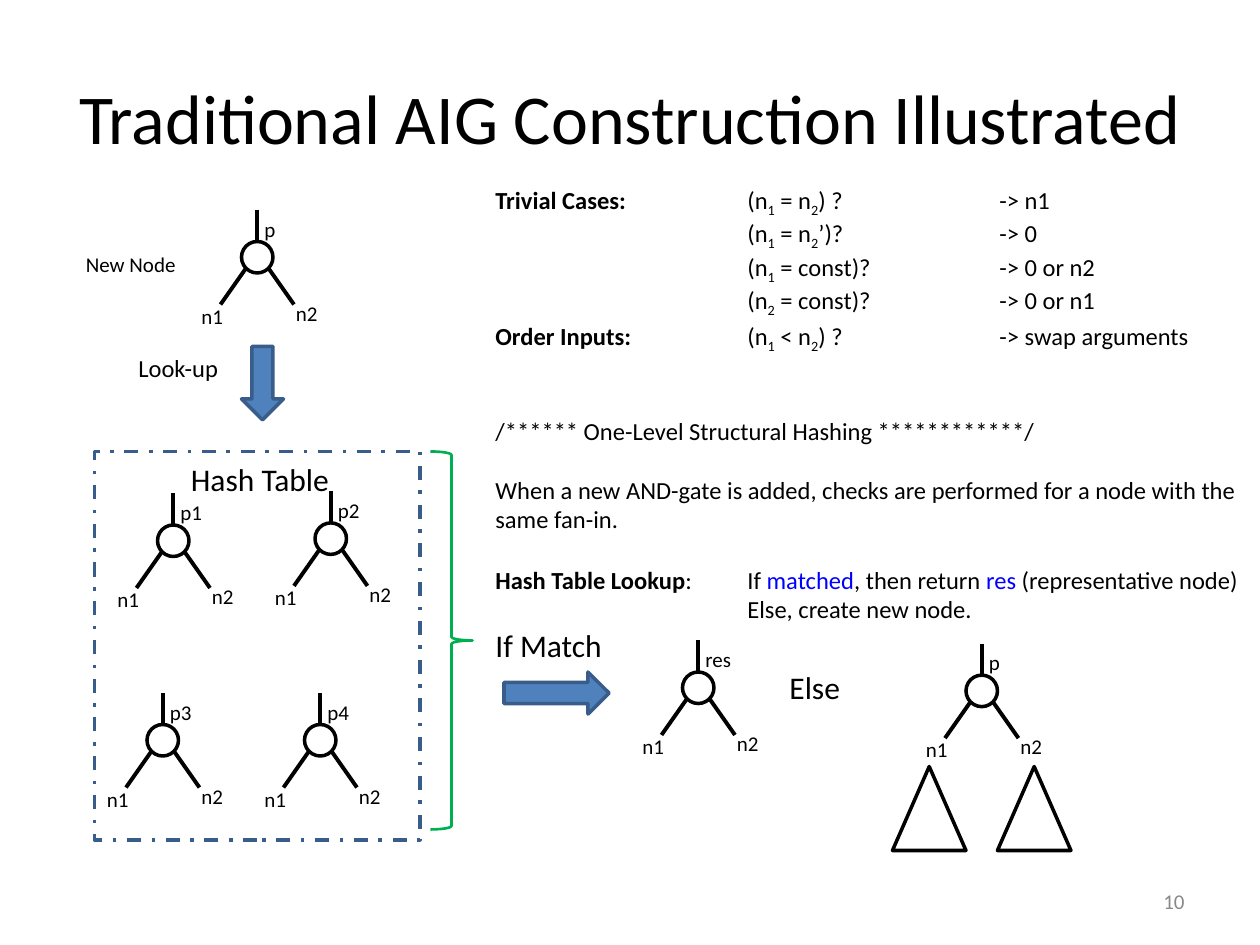
from lxml import etree
from pptx import Presentation
from pptx import util as u
from pptx.dml.color import RGBColor
from pptx.enum import dml, shapes, text
from pptx.oxml.ns import qn

THEME = {
    "font": "Calibri", "black": "000000", "white": "FFFFFF", "blue": "4F81BD",
    "navy": "385D8A", "green": "00B050", "accent": "0000FF", "gray": "898989",
    "title": 40, "heading": 18, "body": 14, "label": 12,
    "outline": 2, "branch": 2.25, "brace": 1.5,
}
GRID = 2.54 / 12
TAB_STEP = 12
LINE_GAP = 17
NODE_SIZE = 3

TITLE = "Traditional AIG Construction Illustrated"
TITLE_BOX = (6, 3.6, 108, 15)

TRIVIAL_CASES = [
    [("Trivial Cases:\t", "bold"), ("(n", ""), ("1", "sub"), (" = n", ""), ("2", "sub"), (") ? \t\t-> n1", "")],
    [("\t\t(n", ""), ("1", "sub"), (" = n", ""), ("2", "sub"), ("’)? \t\t-> 0", "")],
    [("\t\t(n", ""), ("1", "sub"), (" = const)?\t\t-> 0 or n2", "")],
    [("\t\t(n", ""), ("2", "sub"), (" = const)?\t\t-> 0 or n1", "")],
]
ORDER_INPUTS = [
    [("Order Inputs:\t", "bold"), ("(n", ""), ("1", "sub"), (" < n", ""), ("2", "sub"),
     (") ? \t\t-> swap arguments", "")],
]
HASHING = [
    [("/****** One-Level Structural Hashing ************/", "")],
    [("When a new AND-gate is added, checks are performed for a node with the same fan-in.", "")],
]
LOOKUP = [
    [("Hash Table Lookup", "bold"), (":\tIf ", ""), ("matched", "accent"), (", then return ", ""),
     ("res", "accent"), (" (representative node)", "")],
    [("\t\tElse, create new node.", "")],
]

BODY_BOXES = [
    ((46, 17, 72, 14), TRIVIAL_CASES, 0),
    ((46, 30, 72, 7.2), ORDER_INPUTS, 0),
    ((46, 39, 74, 20.9), HASHING, LINE_GAP),
    ((46, 53.2, 78, 9.6), LOOKUP, 0),
]
CAPTIONS = [
    ("New Node", (7, 23.4, 12, 3.6), "label"),
    ("Look-up", (12, 33, 18, 4.1), "body"),
    ("Hash Table", (17, 43.2, 16, 4.8), "heading"),
    ("If Match", (46, 59, 15, 4.8), "heading"),
    ("Else", (74, 63, 15, 4.8), "heading"),
]
NODES = [
    ("p", 23, 23), ("p1", 15, 50), ("p2", 30, 49.8), ("p3", 14, 69),
    ("p4", 29, 69), ("res", 65, 64), ("p", 92, 64.3),
]
FIGURES = [
    ("RECTANGLE", (9, 43, 31, 37), None, "navy", "outline"),
    ("RIGHT_BRACE", (41, 43, 4, 36), None, "green", "brace"),
    ("DOWN_ARROW", (23, 33, 4, 7), "blue", "navy", "outline"),
    ("RIGHT_ARROW", (48, 64, 10, 4), "blue", "navy", "outline"),
    ("ISOSCELES_TRIANGLE", (85, 73, 7, 8), None, "black", "outline"),
    ("ISOSCELES_TRIANGLE", (95, 73, 7, 8), None, "black", "outline"),
]
PAGE_NUMBER = ("10", (86, 83.4, 28, 4.8))


def color(name):
    return RGBColor.from_string(THEME[name])


def place(*lengths):
    return [u.Cm(length * GRID) for length in lengths]


def apply(target, values):
    for name, value in values.items():
        setattr(target, name, value)


def add_tabs(paragraph):
    tab_list = etree.SubElement(paragraph._p.get_or_add_pPr(), qn("a:tabLst"))
    for step in range(1, 8):
        position = place(step * TAB_STEP)[0]
        etree.SubElement(tab_list, qn("a:tab"), pos=str(position), algn="l")


def write(frame, paragraphs, size, ink="black", gap=0, align=text.PP_ALIGN.LEFT,
          anchor=text.MSO_ANCHOR.TOP):
    apply(frame, {"word_wrap": True, "auto_size": text.MSO_AUTO_SIZE.NONE, "vertical_anchor": anchor})
    for index, runs in enumerate(paragraphs):
        paragraph = frame.add_paragraph() if index else frame.paragraphs[0]
        if any("\t" in words for words, style in runs):
            add_tabs(paragraph)
        paragraph.alignment = align
        if index and gap:
            paragraph.space_before = u.Pt(gap)
        for words, style in runs:
            run = paragraph.add_run()
            run.text = words
            apply(run.font, {"name": THEME["font"], "size": u.Pt(THEME[size]), "bold": style == "bold"})
            run.font.color.rgb = color("accent" if style == "accent" else ink)
            if style == "sub":
                run._r.get_or_add_rPr().set("baseline", "-25000")


def add_text(parent, box, paragraphs, size, **options):
    write(parent.add_textbox(*place(*box)).text_frame, paragraphs, size, **options)


def add_figure(parent, kind, box, fill, line, width):
    shape = parent.add_shape(getattr(shapes.MSO_SHAPE, kind), *place(*box))
    shape.shadow.inherit = False
    if fill:
        shape.fill.solid()
        shape.fill.fore_color.rgb = color(fill)
    else:
        shape.fill.background()
    shape.line.color.rgb = color(line)
    shape.line.width = u.Pt(THEME[width])
    return shape


def add_branch(parent, start, end):
    branch = parent.add_connector(shapes.MSO_CONNECTOR.STRAIGHT, *place(*start, *end))
    branch.line.color.rgb = color("black")
    branch.line.width = u.Pt(THEME["branch"])
    etree.SubElement(branch._element.spPr, qn("a:effectLst"))
    return branch


def add_node(slide, name, left, top):
    parent = slide.shapes.add_group_shape().shapes
    circle = add_figure(parent, "OVAL", (left, top, NODE_SIZE, NODE_SIZE), "white", "black", "outline")
    middle = left + NODE_SIZE / 2
    for side in (-1, 1):
        add_branch(parent, (middle + side * 1.08, top + 2.56), (middle + side * 3.5, top + 6))
    stem = add_branch(parent, (middle, top - 3), (middle, top))
    stem.end_connect(circle, 0)
    for label, across, down in (("n1", -5, 5.3), ("n2", 4, 5), (name, 1, -3)):
        add_text(parent, (left + across, top + down, 6, 3.6), [[(label, "")]], "label")


def main():
    presentation = Presentation()
    apply(presentation, {"slide_width": u.Cm(25.4), "slide_height": u.Cm(19.05)})
    slide = presentation.slides.add_slide(presentation.slide_layouts[5])

    title = slide.shapes.title
    apply(title, dict(zip(("left", "top", "width", "height"), place(*TITLE_BOX))))
    write(title.text_frame, [[(TITLE, "")]], "title",
          align=text.PP_ALIGN.CENTER, anchor=text.MSO_ANCHOR.MIDDLE)

    for box, paragraphs, gap in BODY_BOXES:
        add_text(slide.shapes, box, paragraphs, "body", gap=gap)
    for node in NODES:
        add_node(slide, *node)
    for figure in FIGURES:
        shape = add_figure(slide.shapes, *figure)
        if figure[0] == "RECTANGLE":
            shape.line.dash_style = dml.MSO_LINE.DASH_DOT
    for caption, box, size in CAPTIONS:
        add_text(slide.shapes, box, [[(caption, "")]], size)

    number, box = PAGE_NUMBER
    add_text(slide.shapes, box, [[(number, "")]], "label", ink="gray",
             align=text.PP_ALIGN.RIGHT, anchor=text.MSO_ANCHOR.MIDDLE)
    presentation.save("out.pptx")


if __name__ == "__main__":
    main()
